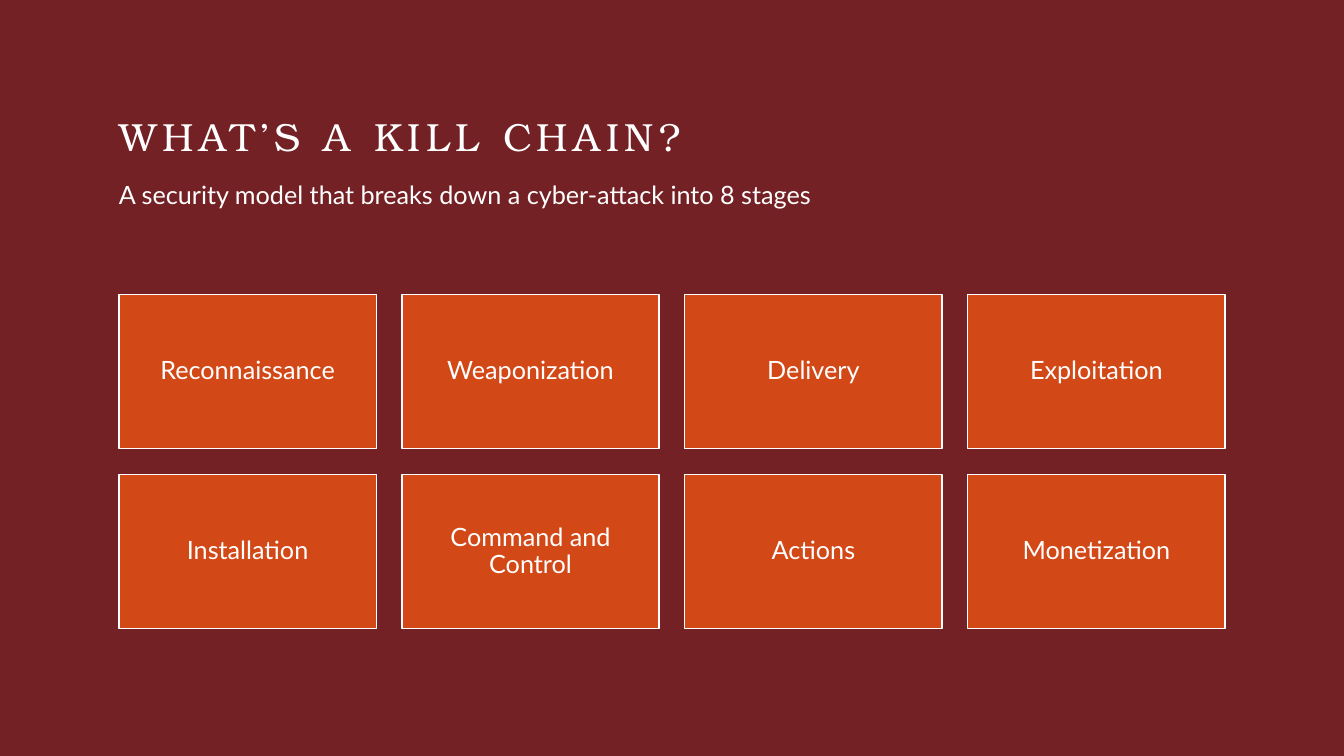
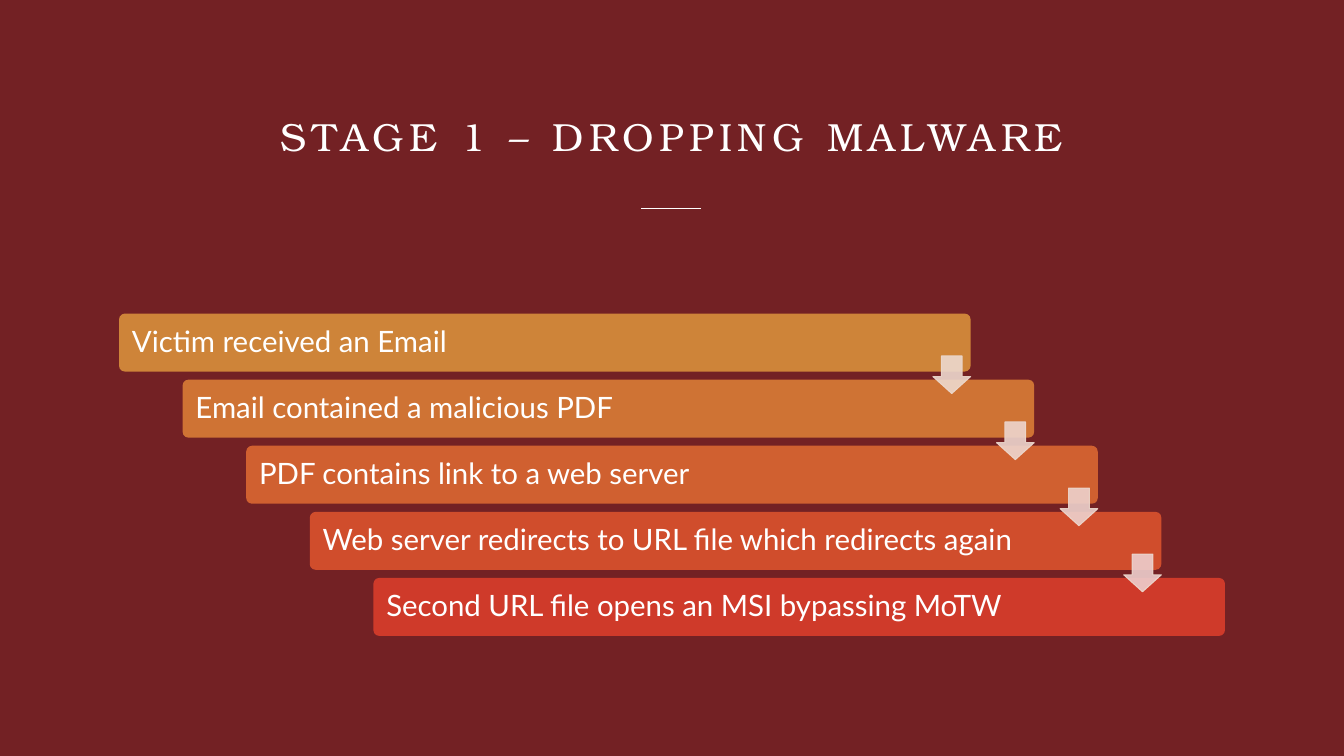
from lxml.etree import SubElement
from pptx import Presentation
from pptx.dml.color import RGBColor
from pptx.enum.shapes import MSO_CONNECTOR as Connector, MSO_SHAPE as Shape
from pptx.enum.text import MSO_ANCHOR as Anchor, MSO_AUTO_SIZE as AutoSize, PP_ALIGN as Align
from pptx.oxml.ns import qn
from pptx.util import Pt

COLOURS = {"background": "732124", "text": "FFFFFF", "card": "D34817", "arrow_line": "EDD9CE"}
BAR_FILLS = ["CE8439", "CF7334", "D06030", "D04D2C", "CF3A2A"]
ARROW_FILLS = ["EDD9CE", "EDD5CE", "EDD2CD", "EDCECD"]

# Content area shared by both slides, in points
LEFT, WIDTH = 85, 790


def rgb(value):
    return RGBColor.from_string(COLOURS.get(value, value))


def write_text(shape, text, font="Lato", size=18, align=Align.LEFT, anchor=Anchor.TOP,
               inset=0, line_spacing=None, tracking=None):
    frame = shape.text_frame
    frame.word_wrap = True
    frame.auto_size = AutoSize.NONE
    frame.vertical_anchor = anchor
    frame.margin_left = frame.margin_right = frame.margin_top = frame.margin_bottom = Pt(inset)
    paragraph = frame.paragraphs[0]
    paragraph.alignment = align
    if line_spacing:
        paragraph.line_spacing = line_spacing
    run = paragraph.add_run()
    run.text = text
    run.font.name, run.font.size = font, Pt(size)
    run.font.color.rgb = rgb("text")
    if tracking:
        run._r.get_or_add_rPr().set("spc", str(tracking * 100))


def set_opacity(colour_format, percent):
    """Add an alpha value to the solid fill of a shape or line."""
    colour = colour_format._xPr.find(qn("a:solidFill"))[0]
    SubElement(colour, qn("a:alpha")).set("val", str(percent * 1000))


class Deck:
    def __init__(self):
        self.presentation = Presentation()
        self.presentation.slide_width, self.presentation.slide_height = Pt(960), Pt(540)
        fill = self.presentation.slide_master.background.fill
        fill.solid()
        fill.fore_color.rgb = rgb("background")
        self.slide = None

    def new_slide(self, title, top, height, **text_format):
        layout = self.presentation.slide_layouts.get_by_name("Title Only")
        self.slide = self.presentation.slides.add_slide(layout)
        shape = self.slide.shapes.title
        shape.left, shape.top = Pt(LEFT), Pt(top)
        shape.width, shape.height = Pt(WIDTH), Pt(height)
        write_text(shape, title, font="TeX Gyre Bonum", size=28, tracking=4, **text_format)

    def text(self, text, left, top, width, height, **text_format):
        box = self.slide.shapes.add_textbox(Pt(left), Pt(top), Pt(width), Pt(height))
        write_text(box, text, **text_format)

    def shape(self, kind, left, top, width, height, fill, line=None, line_width=0.75,
              adjustments=(), opacity=None):
        shape = self.slide.shapes.add_shape(kind, Pt(left), Pt(top), Pt(width), Pt(height))
        shape.shadow.inherit = False
        for index, value in enumerate(adjustments):
            shape.adjustments[index] = value
        shape.fill.solid()
        shape.fill.fore_color.rgb = rgb(fill)
        if line:
            shape.line.color.rgb = rgb(line)
            shape.line.width = Pt(line_width)
        else:
            shape.line.fill.background()
        if opacity:
            set_opacity(shape.fill, opacity)
            set_opacity(shape.line.fill, opacity)
        return shape

    def line(self, start_x, start_y, end_x, end_y):
        line = self.slide.shapes.add_connector(
            Connector.STRAIGHT, Pt(start_x), Pt(start_y), Pt(end_x), Pt(end_y))
        line.line.color.rgb = rgb("text")
        line.line.width = Pt(1)
        SubElement(line._element.spPr, qn("a:effectLst"))


def build_kill_chain(deck):
    deck.new_slide("WHAT’S A KILL CHAIN?", 80, 52)
    deck.text("A security model that breaks down a cyber-attack into 8 stages", LEFT, 128, 704, 22)

    # Grid of stages: gaps are a tenth of a card's width
    stages = ["Reconnaissance", "Weaponization", "Delivery", "Exploitation",
              "Installation", "Command and Control", "Actions", "Monetization"]
    columns = 4
    width = WIDTH / (columns + 0.1 * (columns - 1))
    height, gap = 0.6 * width, 0.1 * width
    for index, stage in enumerate(stages):
        row, column = divmod(index, columns)
        card = deck.shape(Shape.RECTANGLE, LEFT + column * (width + gap),
                          210.4 + row * (height + gap), width, height,
                          "card", line="text", line_width=0.85)
        write_text(card, stage, align=Align.CENTER, anchor=Anchor.MIDDLE, inset=5,
                   line_spacing=0.9)


def build_dropping_malware(deck):
    deck.new_slide("STAGE 1 – DROPPING MALWARE", 42, 72, align=Align.CENTER, anchor=Anchor.BOTTOM)
    deck.line(458, 149, 500.5, 149)

    # Staircase of bars
    steps = ["Victim received an Email", "Email contained a malicious PDF",
             "PDF contains link to a web server",
             "Web server redirects to URL file which redirects again",
             "Second URL file opens an MSI bypassing MoTW"]
    top, height, pitch = 224, 41.4, 47.2
    width = 0.77 * WIDTH
    shift = (WIDTH - width) / (len(steps) - 1)
    for index, (step, fill) in enumerate(zip(steps, BAR_FILLS)):
        bar = deck.shape(Shape.ROUNDED_RECTANGLE, LEFT + index * shift, top + index * pitch,
                         width, height, fill, adjustments=[0.1])
        write_text(bar, step, size=21, anchor=Anchor.MIDDLE, inset=8, line_spacing=0.9)

    # Arrows flush with the right end of each bar
    size = 0.65 * height
    for index, fill in enumerate(ARROW_FILLS):
        deck.shape(Shape.DOWN_ARROW, LEFT + index * shift + width - size,
                   top + 30.2 + index * pitch, size, size, fill,
                   line="arrow_line", adjustments=[0.55, 0.45], opacity=90)


def main():
    deck = Deck()
    build_kill_chain(deck)
    build_dropping_malware(deck)
    deck.presentation.save("out.pptx")


if __name__ == "__main__":
    main()
